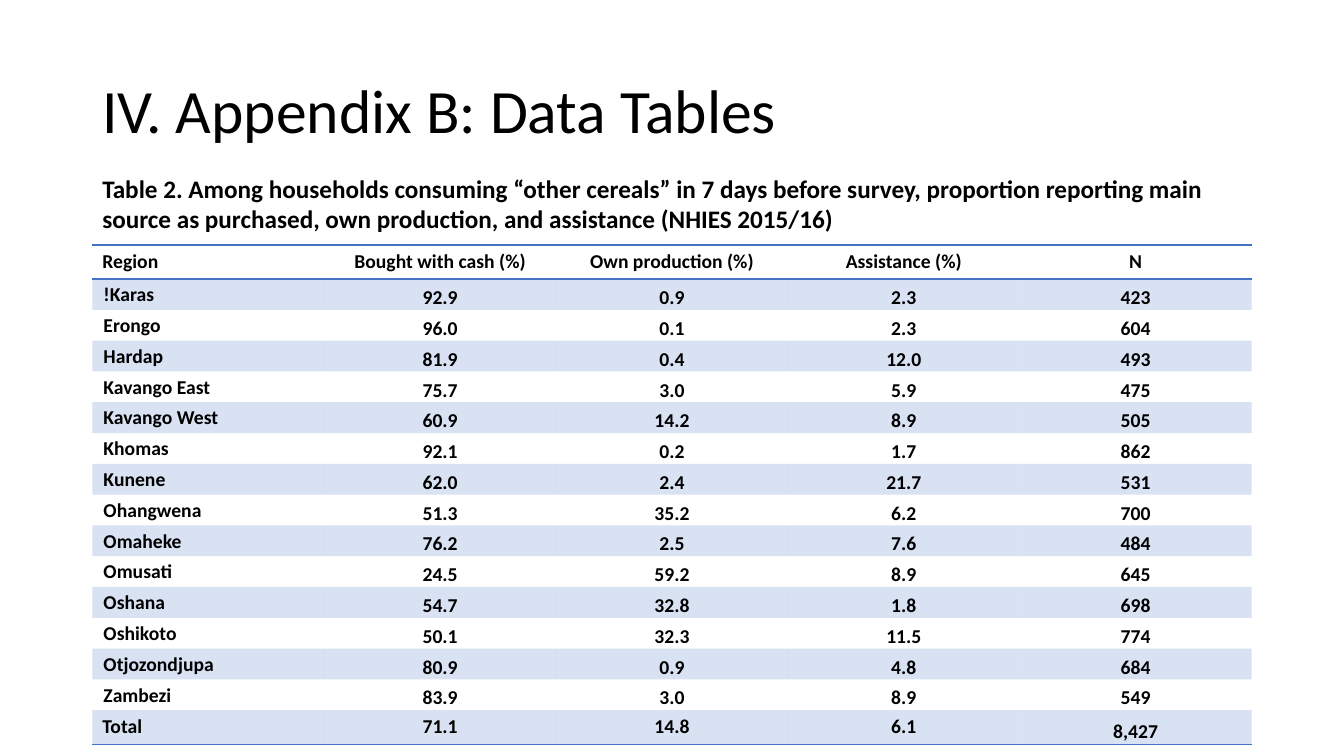
import pptx
import pptx.dml.color
import pptx.enum.text
import pptx.oxml
import pptx.oxml.ns
import pptx.util

Pt = pptx.util.Pt
ALIGN = pptx.enum.text.PP_ALIGN
ANCHOR = pptx.enum.text.MSO_ANCHOR

FONT = "Calibri"
COLOURS = {"text": "000000", "accent": "4472C4"}
BAND_OPACITY = 20
NO_STYLE = "{2D5ABB26-0587-4C30-8999-92F81FD0307C}"
LEFT = 66
COLUMN_WIDTH = 165.6
OUTER_ROW_HEIGHT = 24.3
REGION_ROW_HEIGHT = 22

TITLE = "IV. Appendix B: Data Tables"
CAPTION = (
    "Table 2. Among households consuming “other cereals” in 7 days before survey, "
    "proportion reporting main source as purchased, own production, and assistance "
    "(NHIES 2015/16)"
)
ROWS = [
    ("Region", "Bought with cash (%)", "Own production (%)", "Assistance (%)", "N"),
    ("!Karas", "92.9", "0.9", "2.3", "423"),
    ("Erongo", "96.0", "0.1", "2.3", "604"),
    ("Hardap", "81.9", "0.4", "12.0", "493"),
    ("Kavango East", "75.7", "3.0", "5.9", "475"),
    ("Kavango West", "60.9", "14.2", "8.9", "505"),
    ("Khomas", "92.1", "0.2", "1.7", "862"),
    ("Kunene", "62.0", "2.4", "21.7", "531"),
    ("Ohangwena", "51.3", "35.2", "6.2", "700"),
    ("Omaheke", "76.2", "2.5", "7.6", "484"),
    ("Omusati", "24.5", "59.2", "8.9", "645"),
    ("Oshana", "54.7", "32.8", "1.8", "698"),
    ("Oshikoto", "50.1", "32.3", "11.5", "774"),
    ("Otjozondjupa", "80.9", "0.9", "4.8", "684"),
    ("Zambezi", "83.9", "3.0", "8.9", "549"),
    ("Total", "71.1", "14.8", "6.1", "8,427"),
]


def format_runs(paragraph, size, bold):
    for run in paragraph.runs:
        run.font.name = FONT
        run.font.size = Pt(size)
        run.font.bold = bold
        run.font.color.rgb = pptx.dml.color.RGBColor.from_string(COLOURS["text"])


def add_text(slide, text, top, width, height, size, bold=False, anchor=ANCHOR.TOP, spacing=1.0):
    shape = slide.shapes.add_textbox(Pt(LEFT), Pt(top), Pt(width), Pt(height))
    text_frame = shape.text_frame
    text_frame.word_wrap = True
    text_frame.vertical_anchor = anchor
    text_frame.text = text
    paragraph = text_frame.paragraphs[0]
    paragraph.line_spacing = spacing
    format_runs(paragraph, size, bold)


def set_band_fill(cell):
    cell.fill.solid()
    cell.fill.fore_color.rgb = pptx.dml.color.RGBColor.from_string(COLOURS["accent"])
    colour = cell._tc.tcPr.find(".//" + pptx.oxml.ns.qn("a:srgbClr"))
    alpha = colour.makeelement(pptx.oxml.ns.qn("a:alpha"), {"val": str(BAND_OPACITY * 1000)})
    colour.append(alpha)


def set_borders(cell, sides):
    properties = cell._tc.get_or_add_tcPr()
    for position, side in enumerate(sides):
        line = pptx.oxml.parse_xml(
            f'<a:ln{side} {pptx.oxml.ns.nsdecls("a")} w="{Pt(1)}"><a:solidFill>'
            f'<a:srgbClr val="{COLOURS["accent"]}"/></a:solidFill></a:ln{side}>'
        )
        properties.insert(position, line)


def set_tight_margins(cell):
    cell.margin_left = cell.margin_right = cell.margin_top = Pt(0.75)
    cell.margin_bottom = 0


def fill_cell(cell, text, row, column):
    header, total = row == 0, row == len(ROWS) - 1
    cell.text_frame.text = text
    paragraph = cell.text_frame.paragraphs[0]
    paragraph.alignment = ALIGN.LEFT if column == 0 else ALIGN.CENTER

    # Region rows and the total count have tight margins
    if not (header or total) or text == ROWS[-1][-1]:
        set_tight_margins(cell)
        cell.vertical_anchor = ANCHOR.MIDDLE if column == 0 else ANCHOR.BOTTOM
        if column == 0:
            paragraph._p.get_or_add_pPr().set("marL", str(Pt(7.2)))
    elif total and column == 0:
        cell.vertical_anchor = ANCHOR.MIDDLE
    format_runs(paragraph, 14, True)

    # Shaded odd rows, rules around the header and under the total
    if row % 2:
        set_band_fill(cell)
    else:
        cell.fill.background()
    if header:
        set_borders(cell, "TB")
    elif total:
        set_borders(cell, "B")


def add_region_table(slide, top):
    heights = [OUTER_ROW_HEIGHT, *[REGION_ROW_HEIGHT] * (len(ROWS) - 2), OUTER_ROW_HEIGHT]
    column_count = len(ROWS[0])
    table = slide.shapes.add_table(
        len(ROWS), column_count, Pt(LEFT), Pt(top),
        Pt(COLUMN_WIDTH * column_count), Pt(sum(heights)),
    ).table
    table._tbl.tblPr.find(pptx.oxml.ns.qn("a:tableStyleId")).text = NO_STYLE
    for table_column in table.columns:
        table_column.width = Pt(COLUMN_WIDTH)
    for row, (values, height) in enumerate(zip(ROWS, heights)):
        table.rows[row].height = Pt(height)
        for column, text in enumerate(values):
            fill_cell(table.cell(row, column), text, row, column)


def main():
    presentation = pptx.Presentation()
    presentation.slide_width = Pt(960)
    presentation.slide_height = Pt(540)
    slide = presentation.slides.add_slide(presentation.slide_layouts[6])

    # Title, table and caption
    add_text(slide, TITLE, 28.75, 828, 104.4, 44, anchor=ANCHOR.MIDDLE, spacing=0.9)
    add_region_table(slide, 175)
    add_text(slide, CAPTION, 120.2, 822, 51, 18, bold=True)

    presentation.save("out.pptx")


if __name__ == "__main__":
    main()
